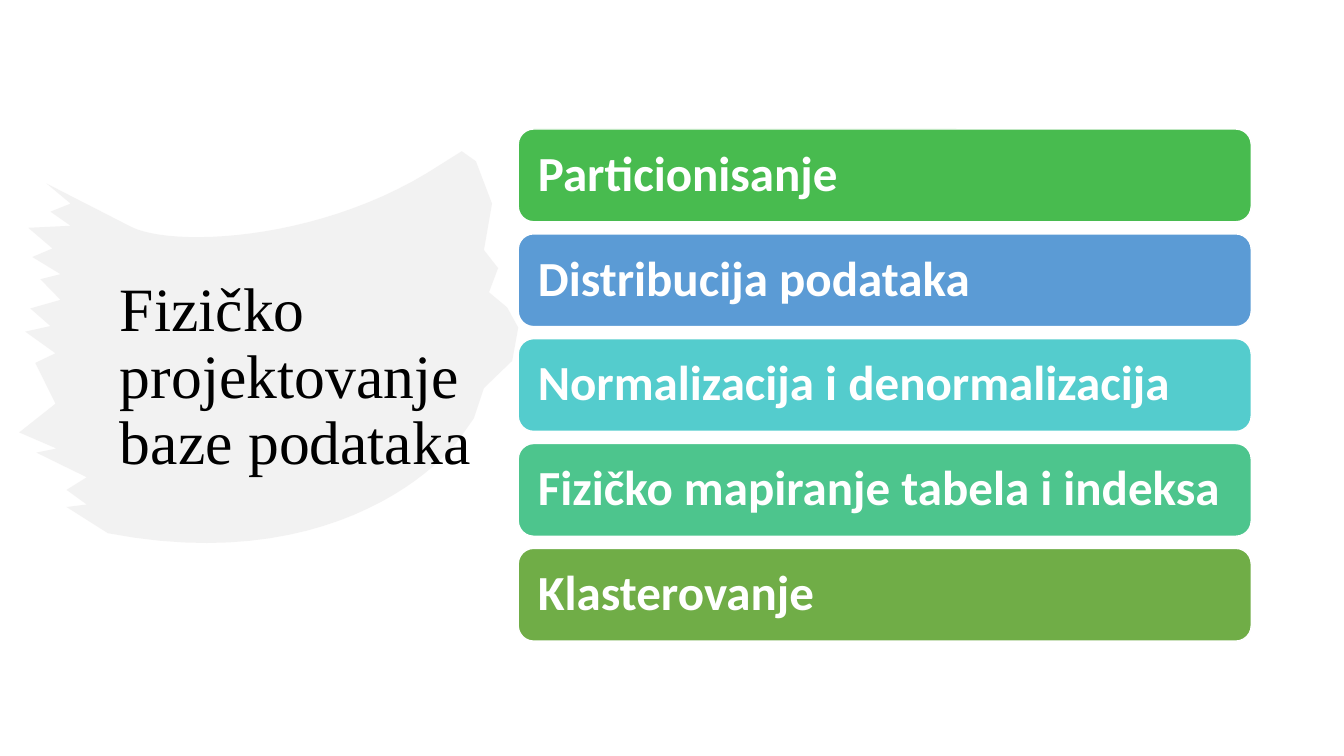
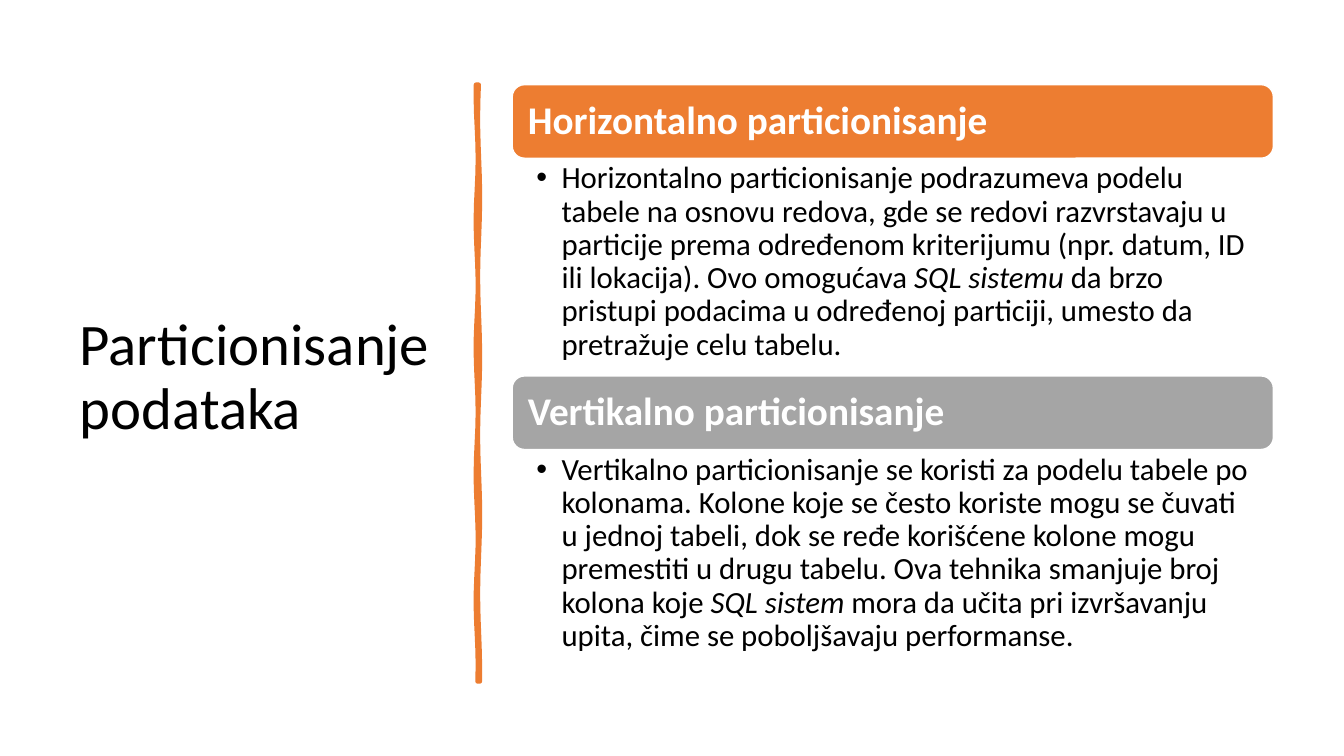
from math import sin

from lxml import etree
from pptx import Presentation
from pptx.dml.color import RGBColor
from pptx.enum.shapes import MSO_SHAPE
from pptx.enum.text import MSO_ANCHOR, MSO_AUTO_SIZE, PP_ALIGN
from pptx.oxml.ns import qn
from pptx.util import Inches, Pt

ROUND_RECT = MSO_SHAPE.ROUNDED_RECTANGLE
MIDDLE, TOP = MSO_ANCHOR.MIDDLE, MSO_ANCHOR.TOP
LEFT, NO_FIT = PP_ALIGN.LEFT, MSO_AUTO_SIZE.NONE
TITLE_ONLY, TWO_CONTENT = 5, 3

# Colours and fonts
BLACK = RGBColor(0x00, 0x00, 0x00)
WHITE = RGBColor(0xFF, 0xFF, 0xFF)
BRUSH_GRAY = RGBColor(0xE7, 0xE6, 0xE6)
ORANGE = RGBColor(0xED, 0x7D, 0x31)
GRAY = RGBColor(0xA5, 0xA5, 0xA5)
BLUE = RGBColor(0x5B, 0x9B, 0xD5)
CYAN = RGBColor(0x54, 0xCC, 0xCD)
TEAL = RGBColor(0x4D, 0xC5, 0x8D)
GREEN = RGBColor(0x48, 0xBB, 0x4F)
OLIVE = RGBColor(0x70, 0xAD, 0x47)
SANS, SERIF = "Calibri", "Times New Roman"

# Content
DESIGN_TITLE = "Fizičko projektovanje baze podataka"
DESIGN_STEPS = [
    ("Particionisanje", GREEN),
    ("Distribucija podataka", BLUE),
    ("Normalizacija i denormalizacija", CYAN),
    ("Fizičko mapiranje tabela i indeksa", TEAL),
    ("Klasterovanje", OLIVE),
]
PARTITION_TITLE = "Particionisanje podataka"
# Each section: heading, colour, then text before, in and after the italics
PARTITION_KINDS = [
    ("Horizontalno particionisanje", ORANGE,
     ("Horizontalno particionisanje podrazumeva podelu tabele na osnovu redova, "
      "gde se redovi razvrstavaju u particije prema određenom kriterijumu "
      "(npr. datum, ID ili lokacija). Ovo omogućava ",
      "SQL sistemu",
      " da brzo pristupi podacima u određenoj particiji, umesto da pretražuje "
      "celu tabelu.")),
    ("Vertikalno particionisanje", GRAY,
     ("Vertikalno particionisanje se koristi za podelu tabele po kolonama. "
      "Kolone koje se često koriste mogu se čuvati u jednoj tabeli, dok se ređe "
      "korišćene kolone mogu premestiti u drugu tabelu. Ova tehnika smanjuje "
      "broj kolona koje ",
      "SQL sistem",
      " mora da učita pri izvršavanju upita, čime se poboljšavaju performanse.")),
]

# Brush stroke in inches: right edge, two curved edges and the bristle tips
BRUSH_RIGHT = [(4.58, 1.5), (4.72, 1.6), (4.88, 2.02), (4.8, 2.48),
               (4.94, 2.66), (4.85, 2.9), (5.03, 3.05), (5.14, 3.25),
               (5.08, 3.58), (4.8, 3.85), (4.7, 4.15)]
BRUSH_BOTTOM = [(4.56, 4.35), (4.3, 4.7), (3.2, 5.7), (1.07, 5.29)]
BRUSH_TOP = [(1.3, 2.25), (1.7, 2.45), (3.1, 2.4), (4.23, 1.72)]
BRISTLE_TIPS = [(0.66, 5.03), (0.66, 4.86), (0.36, 4.49), (0.19, 4.29),
                (0.35, 3.6), (0.25, 3.29), (0.3, 3.06), (0.4, 2.77),
                (0.32, 2.55), (0.28, 2.26), (0.5, 2.1), (0.46, 1.82)]


def apply(obj, **values):
    for name, value in values.items():
        setattr(obj, name, value)


def place(sp, left, top, width, height):
    apply(sp, left=Inches(left), top=Inches(top), width=Inches(width), height=Inches(height))


def format_frame(tf, anchor, *insets):
    left, top, right, bottom = map(Inches, insets)
    apply(tf, word_wrap=True, auto_size=NO_FIT, vertical_anchor=anchor,
          margin_left=left, margin_top=top, margin_right=right, margin_bottom=bottom)


def add_text(p, text, size, color, font=SANS, **style):
    apply(p, alignment=LEFT, line_spacing=0.9, space_before=Pt(0))
    r = p.add_run()
    r.text = text
    apply(r.font, name=font, size=Pt(size), **style)
    r.font.color.rgb = color
    return r


def set_title(s, text, size, font, *box):
    sp = s.shapes.title
    place(sp, *box)
    format_frame(sp.text_frame, MIDDLE, 0.1, 0.05, 0.1, 0.05)
    return add_text(sp.text_frame.paragraphs[0], text, size, BLACK, font)


def add_bar(s, text, color, size, inset, *box):
    sp = s.shapes.add_shape(ROUND_RECT, *map(Inches, box))
    sp.shadow.inherit = False
    sp.fill.solid()
    sp.fill.fore_color.rgb = color
    sp.line.color.rgb = WHITE
    sp.line.width = Pt(1)
    format_frame(sp.text_frame, MIDDLE, *[inset] * 4)
    add_text(sp.text_frame.paragraphs[0], text, size, WHITE, bold=True)


def curve(knots, steps=24):
    points = []
    for t in (i / steps for i in range(steps + 1)):
        u = 1 - t
        weights = (u ** 3, 3 * t * u * u, 3 * t * t * u, t ** 3)
        points.append(tuple(sum(w * k for w, k in zip(weights, axis))
                            for axis in zip(*knots)))
    return points


def bristles(tips, depth=0.2, drop=0.06):
    points = [tips[0]]
    for (x0, y0), (x1, y1) in zip(tips, tips[1:]):
        points += [(max(x0, x1) + depth, (y0 + y1) / 2 + drop), (x1, y1)]
    return points


def wavy_band(x, top, bottom, half_width=0.01, steps=40):
    ys = [top + (bottom - top) * i / steps for i in range(steps + 1)]
    right = [(x + half_width + 0.01 * sin(4 * y), y) for y in ys]
    left = [(x - half_width + 0.01 * sin(5 * y), y) for y in reversed(ys)]
    return right + left


def add_outline(s, outline, color):
    start, *rest = [(Inches(x), Inches(y)) for x, y in outline]
    builder = s.shapes.build_freeform(*start)
    builder.add_line_segments(rest)
    sp = builder.convert_to_shape()
    sp.shadow.inherit = False
    sp.fill.solid()
    sp.fill.fore_color.rgb = color
    return sp


def build_design(prs):
    s = prs.slides.add_slide(prs.slide_layouts[TITLE_ONLY])

    # Half-transparent brush stroke behind the title
    outline = BRUSH_RIGHT + curve(BRUSH_BOTTOM) + bristles(BRISTLE_TIPS) + curve(BRUSH_TOP)
    brush = add_outline(s, outline, BRUSH_GRAY)
    brush.line.fill.background()
    color = brush._element.spPr.find(".//" + qn("a:srgbClr"))
    etree.SubElement(color, qn("a:alpha"), val="50000")
    s.shapes._spTree.insert(2, brush._element)

    # Title with a soft text shadow
    r = set_title(s, DESIGN_TITLE, 44, SERIF, 1.09, 0.75, 3.82, 6.01)
    effects = etree.Element(qn("a:effectLst"))
    shadow = etree.SubElement(effects, qn("a:outerShdw"), blurRad="38100",
                              dist="38100", dir="2700000")
    etree.SubElement(shadow, qn("a:srgbClr"), val=str(WHITE))
    r.font._element.find(qn("a:solidFill")).addnext(effects)

    # Step bars
    for i, (text, color) in enumerate(DESIGN_STEPS):
        add_bar(s, text, color, 35, 0.15, 5.14, 1.28 + 1.04 * i, 7.27, 0.92)


def build_partitions(prs):
    s = prs.slides.add_slide(prs.slide_layouts[TWO_CONTENT])
    set_title(s, PARTITION_TITLE, 42, SANS, 0.69, 0.7, 3.74, 6.11)

    # Hand-drawn divider
    divider = add_outline(s, wavy_band(4.74, 0.84, 6.76), ORANGE)
    divider.line.color.rgb = ORANGE
    divider.line.width = Pt(3.25)

    # Heading bar and bullet for each kind
    left, width, bar_height, body_height = 5.08, 7.55, 0.73, 2.16
    for i, (heading, color, parts) in enumerate(PARTITION_KINDS):
        top = 0.84 + i * (bar_height + body_height)
        add_bar(s, heading, color, 28, 0.12, left, top, width, bar_height)
        body = s.placeholders[i + 1]
        place(body, left, top + bar_height, width, body_height)
        format_frame(body.text_frame, TOP, 0.24, 0.04, 0.22, 0.04)
        p = body.text_frame.paragraphs[0]
        for text, italic in zip(parts, (False, True, False)):
            add_text(p, text, 22, BLACK, italic=italic)
        pPr = p._p.get_or_add_pPr()
        pPr.set("marL", str(Inches(0.25)))
        pPr.set("indent", str(-Inches(0.25)))


def main():
    prs = Presentation()
    apply(prs, slide_width=Inches(13.33), slide_height=Inches(7.5))
    build_design(prs)
    build_partitions(prs)
    prs.save("out.pptx")


if __name__ == "__main__":
    main()
